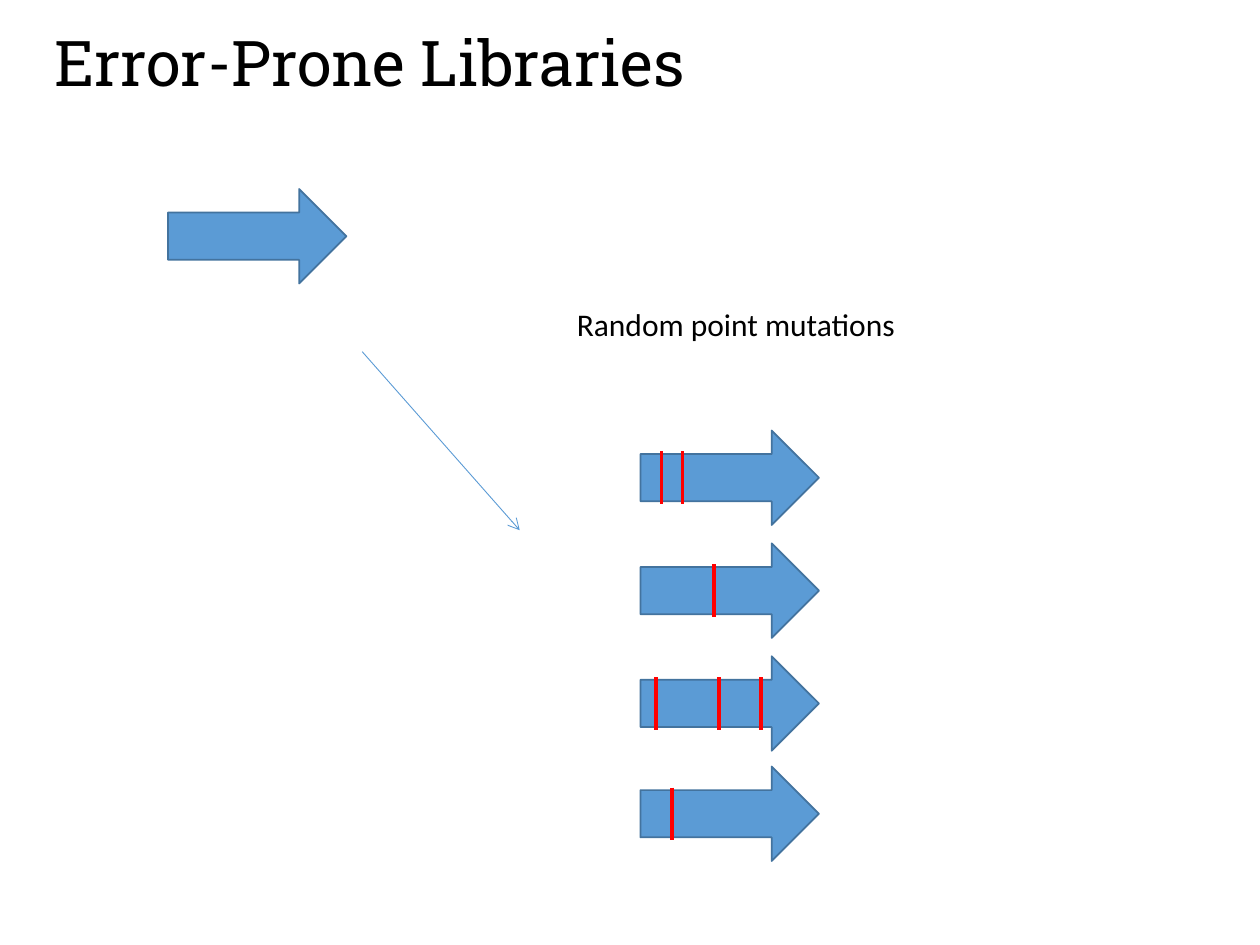
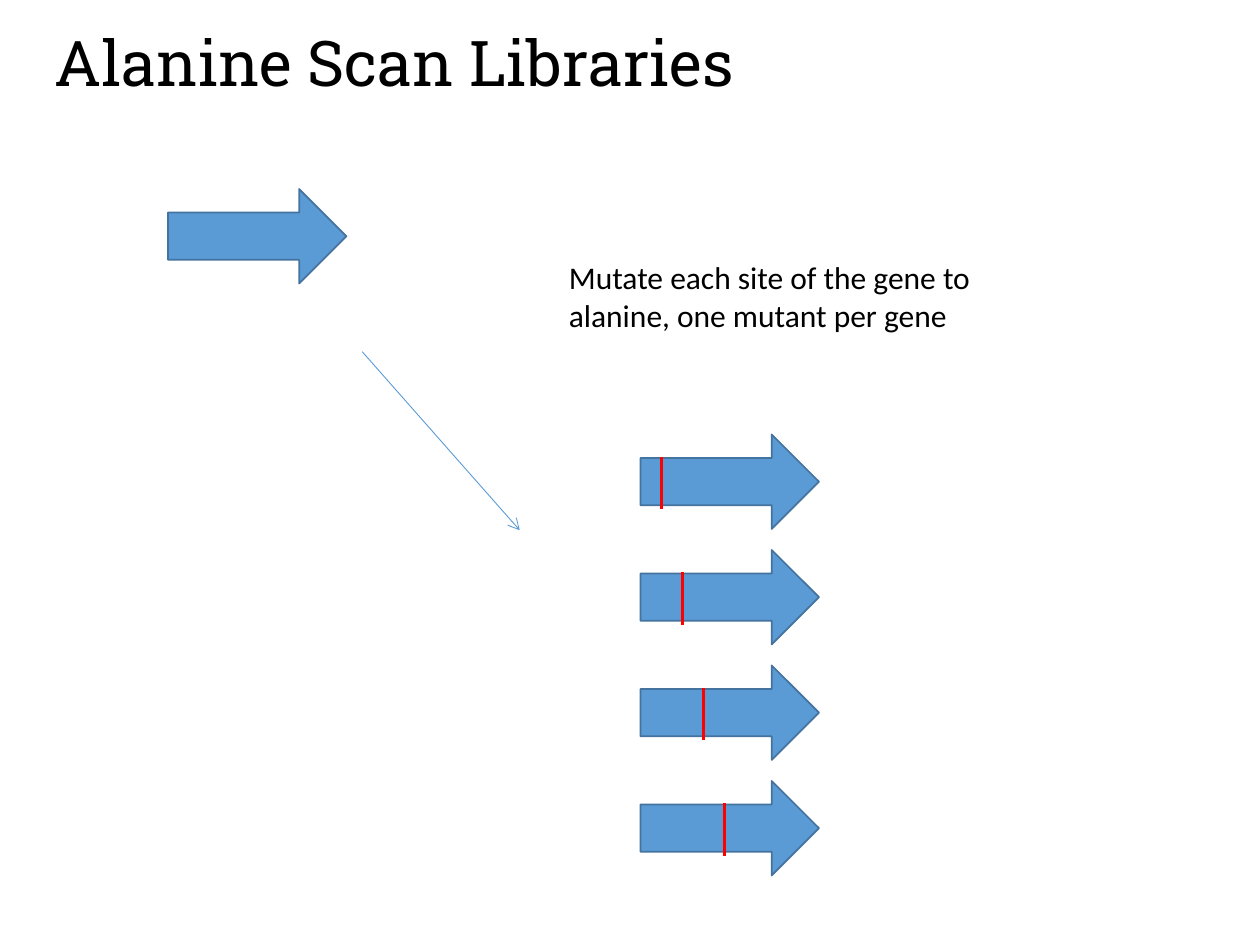
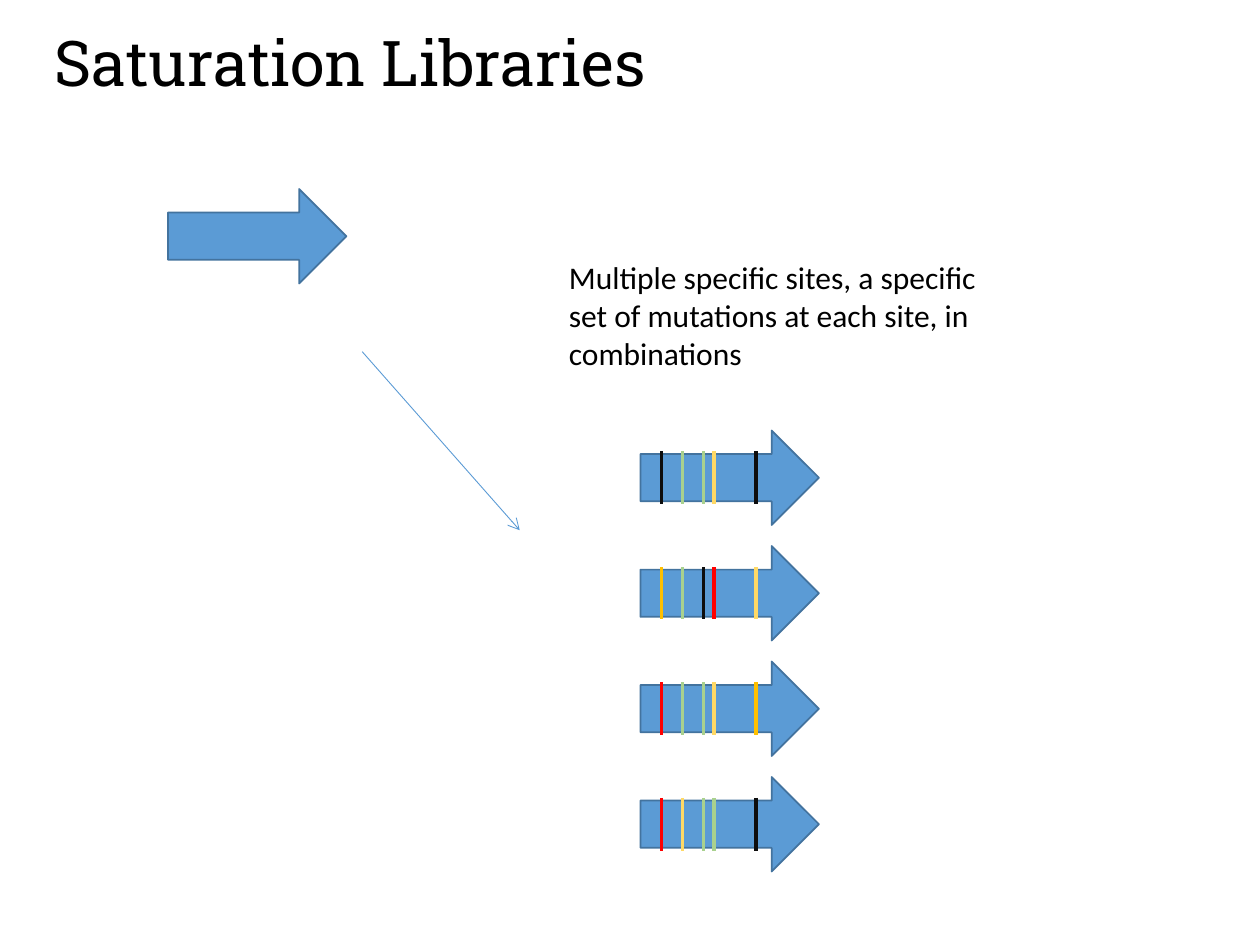
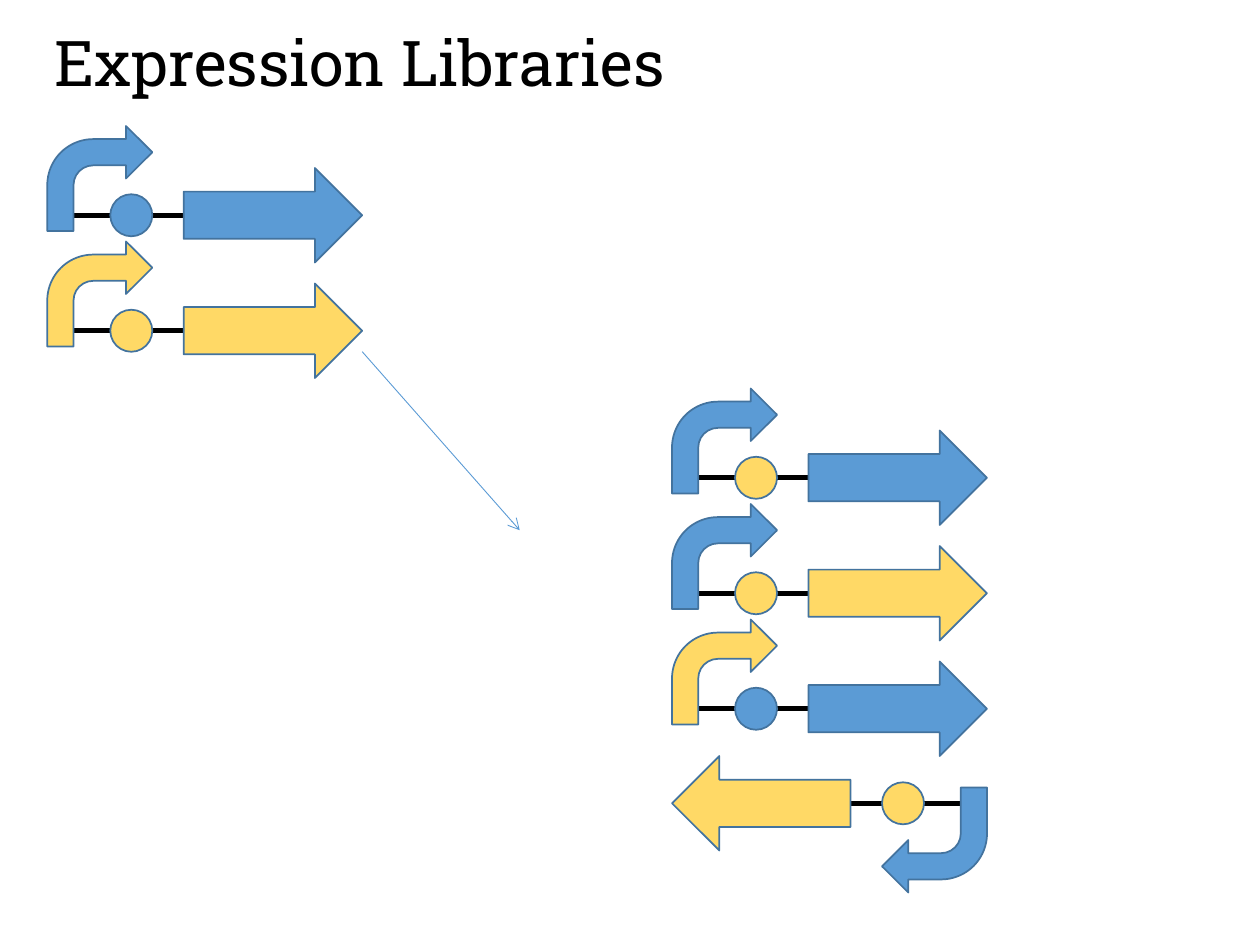
"""Build four slides that explain kinds of gene libraries."""
import dataclasses

import pptx
import pptx.dml.color
import pptx.enum.shapes
import pptx.enum.text
import pptx.oxml.ns
import pptx.util
from lxml import etree

SHAPE = pptx.enum.shapes.MSO_SHAPE
EMU_PER_PX = 9525
GENE_W, GENE_H = 136, 72
PROMOTER, SITE = 80, 32
UNIT_W, UNIT_H = 240, 104
MUTANT_X, ROW_PITCH = 488, 88


@dataclasses.dataclass(frozen=True)
class Theme:
    """Colours, fonts, type sizes and line widths."""
    blue: str = "5B9BD5"
    outline: str = "43739E"
    red: str = "FF0000"
    yellow: str = "FFD966"
    gold: str = "FFC000"
    green: str = "A9D18E"
    dark: str = "0D0D0D"
    black: str = "000000"
    title_font: str = "Roboto Slab"
    body_font: str = "Calibri"
    title_pt: int = 36
    body_pt: int = 18
    outline_pt: float = 1
    tick_pt: float = 2.25
    strand_pt: float = 3
    pointer_pt: float = 0.5


THEME = Theme()


def px(*values):
    """Turn pixel lengths into EMU."""
    return [pptx.util.Emu(v * EMU_PER_PX) for v in values]


def rgb(colour):
    """Turn a hex string into a colour."""
    return pptx.dml.color.RGBColor.from_string(colour)


def write(tf, text, font, size):
    """Write one left-aligned run into a text frame."""
    tf.word_wrap = True
    p = tf.paragraphs[0]
    p.alignment = pptx.enum.text.PP_ALIGN.LEFT
    r = p.add_run()
    r.text = text
    r.font.name = font
    r.font.size = pptx.util.Pt(size)
    r.font.color.rgb = rgb(THEME.black)


def add_slide(prs, title):
    """Add a slide with its title."""
    slide = prs.slides.add_slide(prs.slide_layouts[5])
    sp = slide.shapes.title
    sp.left, sp.top, sp.width, sp.height = px(32, 13, 904, 68)
    sp.text_frame.auto_size = pptx.enum.text.MSO_AUTO_SIZE.NONE
    sp.text_frame.vertical_anchor = pptx.enum.text.MSO_ANCHOR.MIDDLE
    write(sp.text_frame, title, THEME.title_font, THEME.title_pt)
    return slide


def add_caption(slide, text, x, y, w, h):
    """Add a text box that describes the library."""
    sp = slide.shapes.add_textbox(*px(x, y, w, h))
    write(sp.text_frame, text, THEME.body_font, THEME.body_pt)


def add_part(shapes, kind, x, y, w, h, colour):
    """Add an outlined preset shape."""
    sp = shapes.add_shape(kind, *px(x, y, w, h))
    sp.shadow.inherit = False
    sp.fill.solid()
    sp.fill.fore_color.rgb = rgb(colour)
    sp.line.color.rgb = rgb(THEME.outline)
    sp.line.width = pptx.util.Pt(THEME.outline_pt)
    return sp


def add_gene(shapes, x, y, colour=THEME.blue):
    """Add a block arrow that stands for a gene."""
    return add_part(shapes, SHAPE.RIGHT_ARROW, x, y, GENE_W, GENE_H, colour)


def add_line(shapes, x1, y1, x2, y2, colour, width):
    """Add a straight line without a shadow."""
    cxn = shapes.add_connector(
        pptx.enum.shapes.MSO_CONNECTOR.STRAIGHT, *px(x1, y1, x2, y2))
    cxn.line.color.rgb = rgb(colour)
    cxn.line.width = pptx.util.Pt(width)
    etree.SubElement(cxn._element.spPr, pptx.oxml.ns.qn("a:effectLst"))
    return cxn


def add_pointer(slide):
    """Add the thin arrow from the source to its library."""
    cxn = add_line(slide.shapes, 276, 268, 396, 404, THEME.blue, THEME.pointer_pt)
    ln = cxn.line._get_or_add_ln()
    etree.SubElement(ln, pptx.oxml.ns.qn("a:tailEnd"), type="arrow")


def add_mutant(slide, y, ticks, tick_dy):
    """Add a gene marked with (offset, colour) mutation ticks."""
    shapes = slide.shapes.add_group_shape().shapes
    add_gene(shapes, MUTANT_X, y)
    for dx, colour in ticks:
        x, top = MUTANT_X + dx, y + tick_dy
        add_line(shapes, x, top, x, top + 40, colour, THEME.tick_pt)


def add_mutant_slide(prs, title, caption, box, tops, tick_rows, tick_dy=16):
    """Add a slide that turns one gene into a stack of mutants."""
    slide = add_slide(prs, title)
    add_gene(slide.shapes, 128, 144)
    add_pointer(slide)
    add_caption(slide, caption, *box)
    for y, ticks in zip(tops, tick_rows):
        add_mutant(slide, y, ticks, tick_dy)


def add_unit(slide, x, y, promoter, site, gene, turned=False):
    """Add a promoter, binding site and gene on one strand."""
    shapes = slide.shapes.add_group_shape().shapes

    def place(dx, dy, w=0, h=0):
        """Place a part, turned half round with its unit if asked."""
        if turned:
            dx, dy = UNIT_W - dx - w, UNIT_H - dy - h
        return x + dx, y + dy

    add_line(shapes, *place(8, 68), *place(216, 68), THEME.black, THEME.strand_pt)
    parts = (
        (SHAPE.OVAL, 48, 52, SITE, SITE, site),
        (SHAPE.BENT_ARROW, 0, 0, PROMOTER, PROMOTER, promoter),
        (SHAPE.RIGHT_ARROW, 104, 32, GENE_W, GENE_H, gene),
    )
    for kind, dx, dy, w, h, colour in parts:
        sp = add_part(shapes, kind, *place(dx, dy, w, h), w, h, colour)
        if turned:
            sp.rotation = 180


def add_expression_slide(prs):
    """Add the slide that shuffles the parts of two source units."""
    blue, yellow = THEME.blue, THEME.yellow
    slide = add_slide(prs, "Expression Libraries")
    add_pointer(slide)
    for i, colour in enumerate((blue, yellow)):
        add_unit(slide, 36, 96 + i * ROW_PITCH, colour, colour, colour)
    shuffled = ((blue, yellow, blue), (blue, yellow, yellow), (yellow, blue, blue))
    for i, colours in enumerate(shuffled):
        add_unit(slide, 512, 296 + i * ROW_PITCH, *colours)
    add_unit(slide, 512, 576, blue, yellow, yellow, turned=True)


def main():
    """Build and save the presentation."""
    prs = pptx.Presentation()
    prs.slide_width, prs.slide_height = px(960, 720)
    red, yellow, gold = THEME.red, THEME.yellow, THEME.gold
    green, dark = THEME.green, THEME.dark

    random_sites = ((16, 32), (56,), (12, 60, 92), (24,))
    add_mutant_slide(
        prs, "Error-Prone Libraries", "Random point mutations",
        (430, 228, 276, 38), (328, 414, 500, 584),
        [[(dx, red) for dx in row] for row in random_sites])

    add_mutant_slide(
        prs, "Alanine Scan Libraries",
        "Mutate each site of the gene to alanine, one mutant per gene",
        (424, 192, 352, 68), [331 + i * ROW_PITCH for i in range(4)],
        [[(16 * (i + 1), red)] for i in range(4)], tick_dy=17)

    fixed_sites = (16, 32, 48, 56, 88)
    combinations = (
        (dark, green, green, yellow, dark),
        (gold, green, dark, red, yellow),
        (red, green, green, yellow, gold),
        (red, yellow, green, green, dark),
    )
    add_mutant_slide(
        prs, "Saturation Libraries",
        "Multiple specific sites, a specific set of mutations at each site, "
        "in combinations",
        (424, 192, 352, 97), [328 + i * ROW_PITCH for i in range(4)],
        [list(zip(fixed_sites, row)) for row in combinations])

    add_expression_slide(prs)
    prs.save("out.pptx")


if __name__ == "__main__":
    main()
